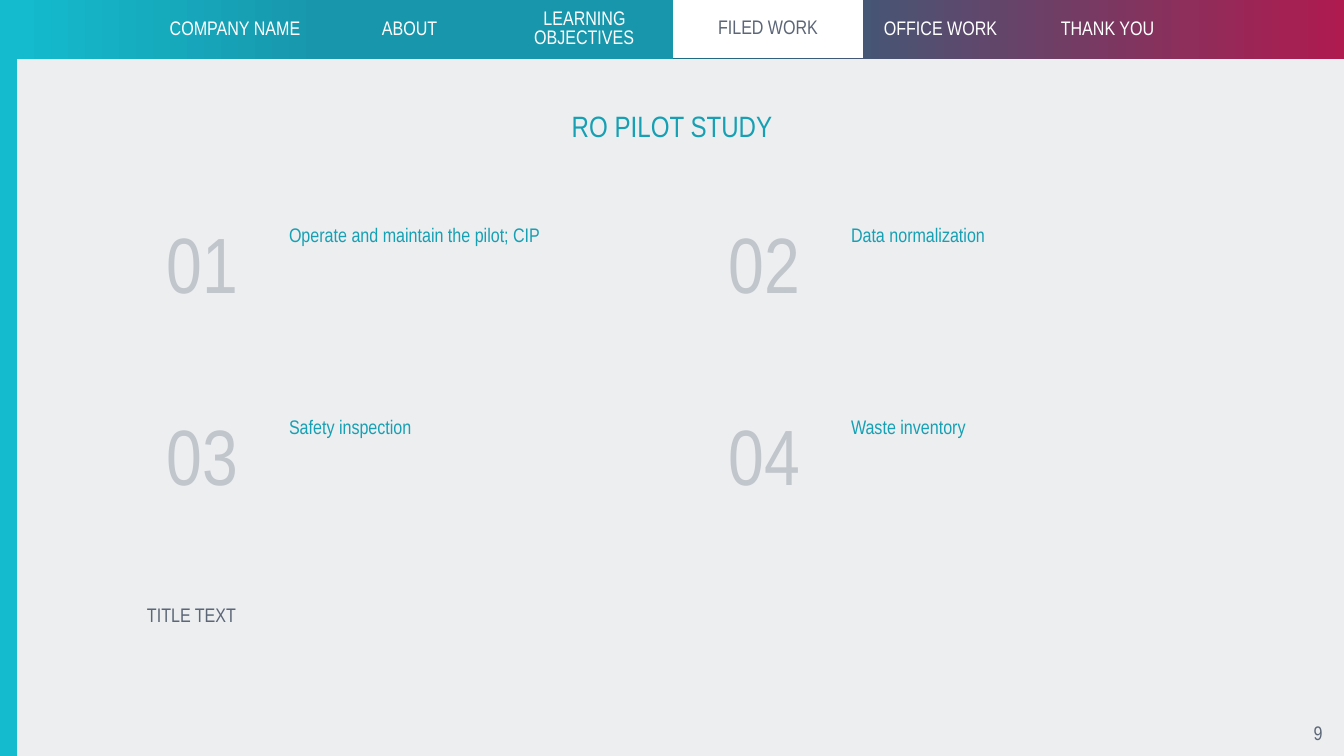
"""Build the RO pilot study slide with its navigation bar and numbered tasks."""
from copy import deepcopy

from pptx import Presentation
from pptx.dml.color import RGBColor
from pptx.enum.shapes import MSO_SHAPE
from pptx.enum.text import MSO_ANCHOR, PP_ALIGN
from pptx.util import Pt

RECT = MSO_SHAPE.RECTANGLE
LEFT, CENTER, RIGHT = PP_ALIGN.LEFT, PP_ALIGN.CENTER, PP_ALIGN.RIGHT
TOP, MIDDLE = MSO_ANCHOR.TOP, MSO_ANCHOR.MIDDLE

PX = 914400 / 50.4
WIDTH, HEIGHT = 1344, 756
EDGE, NAV_HEIGHT = 17, 59
MARGIN, CONTENT_WIDTH = 147, 1050
FONT = "Arial Narrow"
COLORS = {
    "background": "ECEEF0",
    "cyan": "14BACD",
    "deep": "1D6C83",
    "crimson": "AF1B4F",
    "tab": "1897AC",
    "teal": "16A0B4",
    "number": "C1C6CC",
    "slate": "5C6677",
    "white": "FFFFFF",
}

TABS = [
    ("COMPANY NAME", 176, None, "white"),
    ("ABOUT", 173, "tab", "white"),
    ("LEARNING OBJECTIVES\t", 177, "tab", "white"),
    ("FILED WORK", 190, "white", "slate"),
    ("OFFICE WORK", 155, None, "white"),
    ("THANK YOU", 179, None, "white"),
]
TASKS = [
    "Operate and maintain the pilot; CIP",
    "Data normalization",
    "Safety inspection",
    "Waste inventory",
]
TASK_TOP, COLUMN_STEP, ROW_STEP = 227, 562, 192


def emu(*lengths):
    return [round(n * PX) for n in lengths]


def rgb(name):
    return RGBColor.from_string(COLORS[name])


def add_rect(slide, box, fill):
    sp = slide.shapes.add_shape(RECT, *emu(*box))
    sp.shadow.inherit = False
    sp.fill.solid()
    sp.fill.fore_color.rgb = rgb(fill)
    sp.line.fill.background()
    return sp


def add_text(slide, text, box, *, size=28, color="slate", align=LEFT,
             anchor=MIDDLE, fill=None, wrap=True):
    sp = add_rect(slide, box, fill) if fill else slide.shapes.add_textbox(*emu(*box))
    tf = sp.text_frame
    tf.word_wrap = wrap
    tf.vertical_anchor = anchor
    tf.margin_left = tf.margin_right = tf.margin_top = tf.margin_bottom = 0
    p = tf.paragraphs[0]
    p.alignment = align
    p.line_spacing = 0.8
    r = p.add_run()
    r.text = text
    r.font.name = FONT
    r.font.size = Pt(size)
    r.font.color.rgb = rgb(color)


def add_gradient_band(slide):
    sp = add_rect(slide, (EDGE, 0, WIDTH - EDGE, NAV_HEIGHT), "cyan")
    sp.fill.gradient()
    sp.fill.gradient_angle = 0
    stop_list = sp._element.spPr.gradFill.gsLst
    stop_list.append(deepcopy(stop_list[0]))
    for stop, name, position in zip(sp.fill.gradient_stops,
                                    ("cyan", "deep", "crimson"), (0, 0.5, 1)):
        stop.color.rgb = rgb(name)
        stop.position = position


def add_navigation(slide):
    x = MARGIN
    for text, width, fill, color in TABS:
        height = NAV_HEIGHT - 1 if fill == "white" else NAV_HEIGHT
        add_text(slide, text, (x, 0, width, height), color=color, align=CENTER, fill=fill)
        x += width


def add_tasks(slide):
    for i, task in enumerate(TASKS):
        row, column = divmod(i, 2)
        x, y = MARGIN + column * COLUMN_STEP, TASK_TOP + row * ROW_STEP
        add_text(slide, f"{i + 1:02d}", (x, y, 91, 88), size=112, color="number", align=RIGHT)
        add_text(slide, task, (x + 142, y, 350, 29), color="teal", anchor=TOP)


def main():
    prs = Presentation()
    prs.slide_width, prs.slide_height = emu(WIDTH, HEIGHT)
    slide = prs.slides.add_slide(prs.slide_layouts[6])
    slide.background.fill.solid()
    slide.background.fill.fore_color.rgb = rgb("background")
    add_gradient_band(slide)
    add_rect(slide, (0, 0, EDGE, HEIGHT), "cyan")
    add_navigation(slide)
    add_text(slide, "RO PILOT STUDY", (MARGIN, 112, CONTENT_WIDTH, 35),
             size=42, color="teal", align=CENTER)
    add_tasks(slide)
    add_text(slide, "TITLE TEXT", (MARGIN, 605, CONTENT_WIDTH, 24))
    add_text(slide, "9", (1313, 721, 10, 27), align=CENTER, wrap=False)
    prs.save("out.pptx")


if __name__ == "__main__":
    main()
